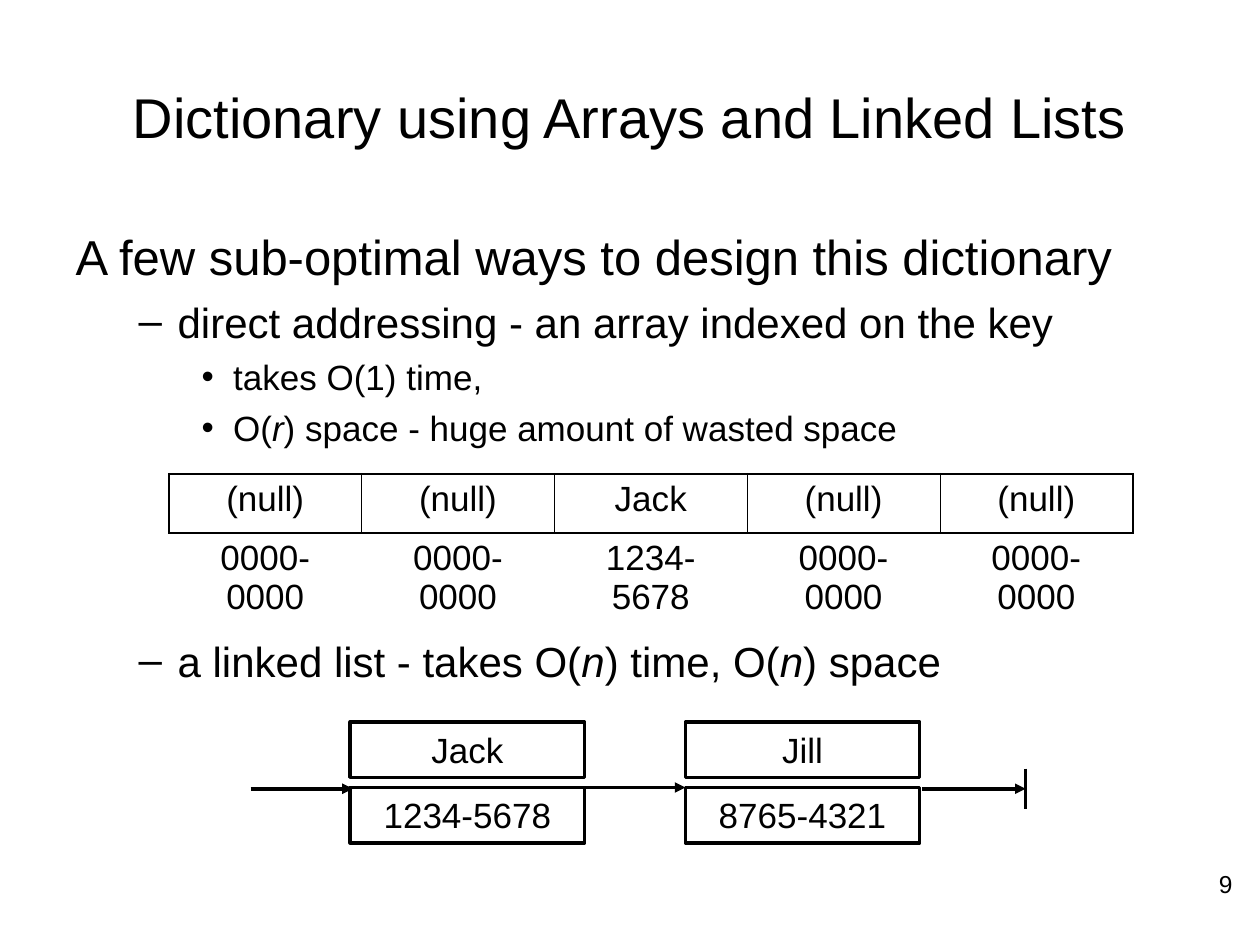
from lxml.etree import SubElement
from pptx import Presentation
from pptx.dml.color import RGBColor
from pptx.enum.shapes import MSO_CONNECTOR, MSO_SHAPE
from pptx.enum.text import MSO_ANCHOR, MSO_AUTO_SIZE, PP_ALIGN
from pptx.oxml.ns import qn
from pptx.util import Inches, Pt

BLACK = RGBColor(0x00, 0x00, 0x00)
FONT = "Arial"
OUTER_BORDER, INNER_BORDER = 1.08, 0.45
LINE_WIDTH = 2
NODE_WIDTH, FIELD_HEIGHT, FIELD_STEP = 1.86, 0.44, 0.52


def add_run(paragraph, text, size, italic=False):
    run = paragraph.add_run()
    run.text = text
    run.font.name = FONT
    run.font.size = Pt(size)
    run.font.italic = italic
    run.font.color.rgb = BLACK


def place(shape, left, top, width, height):
    shape.left, shape.top = Inches(left), Inches(top)
    shape.width, shape.height = Inches(width), Inches(height)


def set_bullet(paragraph, left, hanging, character):
    properties = paragraph._p.get_or_add_pPr()
    properties.set("marL", str(Inches(left)))
    properties.set("indent", str(Inches(-hanging)))
    if character:
        SubElement(properties, qn("a:buFont"), typeface=FONT)
        SubElement(properties, qn("a:buChar"), char=character)
    else:
        SubElement(properties, qn("a:buNone"))


def add_title(slide, box):
    title = slide.shapes.title
    place(title, *box)
    title.text_frame.vertical_anchor = MSO_ANCHOR.MIDDLE
    paragraph = title.text_frame.paragraphs[0]
    paragraph.alignment = PP_ALIGN.CENTER
    add_run(paragraph, "Dictionary using Arrays and Linked Lists", 32)


def add_body(slide, box):
    # Level: left margin, hanging indent, bullet, text size
    levels = [(0.38, 0.38, None, 28), (0.81, 0.31, "–", 24), (1.25, 0.25, "•", 20)]
    # Level, space before, runs as (text, italic); the last gap leaves room for the table
    items = [
        (0, 7, [("A few sub-optimal ways to design this dictionary", False)]),
        (1, 6, [("direct addressing - an array indexed on the key", False)]),
        (2, 5, [("takes O(1) time,", False)]),
        (2, 5, [("O(", False), ("r", True),
                (") space - huge amount of wasted space", False)]),
        (1, 107, [("a linked list - takes O(", False), ("n", True), (") time, O(", False),
                  ("n", True), (") space", False)]),
    ]
    body = slide.placeholders[1]
    place(body, *box)
    frame = body.text_frame
    frame.auto_size = MSO_AUTO_SIZE.NONE
    for index, (level, space, runs) in enumerate(items):
        paragraph = frame.add_paragraph() if index else frame.paragraphs[0]
        left, hanging, character, size = levels[level]
        paragraph.level = level
        paragraph.space_before = Pt(space)
        set_bullet(paragraph, left, hanging, character)
        for text, italic in runs:
            add_run(paragraph, text, size, italic)


def set_borders(cell, widths):
    properties = cell._tc.get_or_add_tcPr()
    for side, width in zip("LRTB", widths):
        line = SubElement(properties, qn(f"a:ln{side}"), w=str(Pt(width)))
        if width:
            fill = SubElement(line, qn("a:solidFill"))
            SubElement(fill, qn("a:srgbClr"), val=str(BLACK))
        else:
            SubElement(line, qn("a:noFill"))


def add_array(slide, box):
    rows = [
        ["(null)", "(null)", "Jack", "(null)", "(null)"],
        ["0000-0000", "0000-0000", "1234-5678", "0000-0000", "0000-0000"],
    ]
    last = len(rows[0]) - 1
    frame = slide.shapes.add_table(len(rows), last + 1, *map(Inches, box))
    table = frame.table
    table.first_row = table.horz_banding = False
    for row, height in zip(table.rows, (0.47, 0.44)):
        row.height = Inches(height)
    for row_index, values in enumerate(rows):
        for column, text in enumerate(values):
            cell = table.cell(row_index, column)
            # Only the slots in the first row are framed
            if row_index == 0:
                left = INNER_BORDER if column else OUTER_BORDER
                right = INNER_BORDER if column < last else OUTER_BORDER
                set_borders(cell, (left, right, OUTER_BORDER, OUTER_BORDER))
            else:
                set_borders(cell, (0, 0, OUTER_BORDER, 0))
            cell.fill.background()
            paragraph = cell.text_frame.paragraphs[0]
            paragraph.alignment = PP_ALIGN.CENTER
            paragraph.space_before = Pt(5)
            add_run(paragraph, text, 20)


def add_node(slide, left, top, fields):
    group = slide.shapes.add_group_shape()
    for index, text in enumerate(fields):
        field = group.shapes.add_shape(
            MSO_SHAPE.RECTANGLE, Inches(left), Inches(top + index * FIELD_STEP),
            Inches(NODE_WIDTH), Inches(FIELD_HEIGHT))
        field.shadow.inherit = False
        field.fill.background()
        field.line.color.rgb = BLACK
        field.line.width = Pt(LINE_WIDTH)
        field.text_frame.vertical_anchor = MSO_ANCHOR.TOP
        paragraph = field.text_frame.paragraphs[0]
        paragraph.alignment = PP_ALIGN.CENTER
        paragraph.space_before = Pt(12.5)
        add_run(paragraph, text, 20)


def add_line(slide, start, end, arrow=True):
    line = slide.shapes.add_connector(
        MSO_CONNECTOR.STRAIGHT, *map(Inches, (*start, *end)))
    line.line.color.rgb = BLACK
    line.line.width = Pt(LINE_WIDTH)
    if arrow:
        SubElement(line.line._get_or_add_ln(), qn("a:tailEnd"), type="triangle")
    SubElement(line._element.spPr, qn("a:effectLst"))


def add_linked_list(slide, box):
    left, top, width, height = box
    right, middle = left + width, top + 0.53
    # Nodes
    nodes = [("Jack", "1234-5678"), ("Jill", "8765-4321")]
    for index, fields in enumerate(nodes):
        add_node(slide, left + 0.79 + index * 2.66, top, fields)
    # Links between the nodes
    add_line(slide, (left + 2.64, top + 0.52), (left + 3.45, top + 0.52))
    add_line(slide, (left, middle), (left + 0.81, middle))
    add_line(slide, (right - 0.82, middle), (right, middle))
    # End of the list
    add_line(slide, (right, middle - 0.16), (right, middle + 0.16), arrow=False)


def add_page_number(slide, box):
    text_box = slide.shapes.add_textbox(*map(Inches, box))
    text_box.text_frame.word_wrap = True
    paragraph = text_box.text_frame.paragraphs[0]
    paragraph.alignment = PP_ALIGN.RIGHT
    add_run(paragraph, "9", 14)


def main():
    presentation = Presentation()
    presentation.slide_width, presentation.slide_height = Inches(10), Inches(7.5)
    slide = presentation.slides.add_slide(presentation.slide_layouts[1])
    add_title(slide, (0.5, 0.3, 9, 1.25))
    add_body(slide, (0.5, 1.75, 9, 4.95))
    add_array(slide, (1.34, 3.76, 7.65, 0.91))
    add_linked_list(slide, (1.99, 5.73, 6.15, 0.96))
    add_page_number(slide, (7.55, 6.85, 2.33, 0.52))
    presentation.save("out.pptx")


if __name__ == "__main__":
    main()
